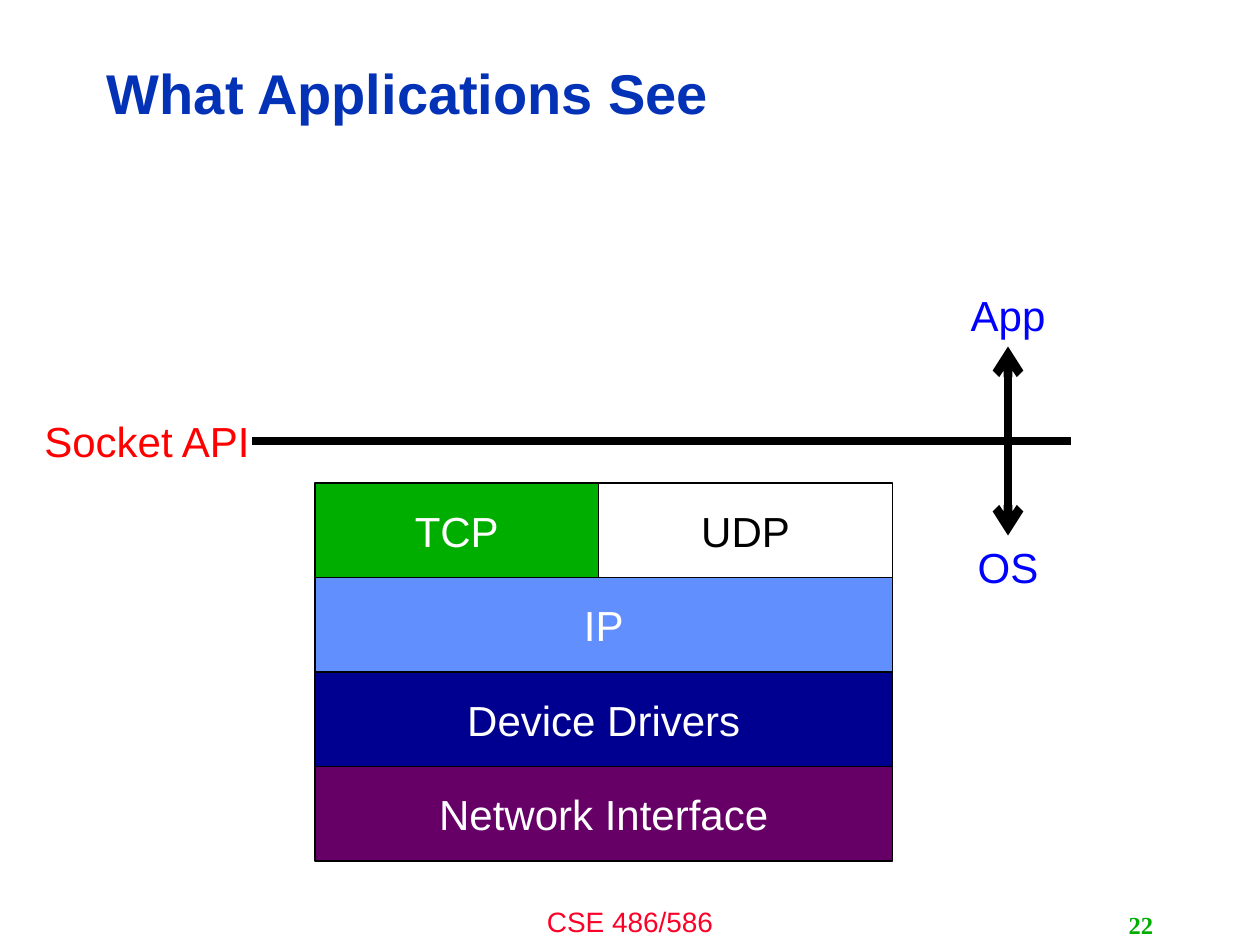
from lxml.etree import SubElement
from pptx import Presentation
from pptx.dml.color import RGBColor
from pptx.enum.shapes import MSO_CONNECTOR as Connector, MSO_SHAPE as Shape
from pptx.enum.text import MSO_ANCHOR as Anchor, PP_ALIGN as Align
from pptx.oxml.ns import qn
from pptx.util import Emu, Pt

EMU_PER_PX = 7620  # 120 px to the inch


def px(length):
    return Emu(length * EMU_PER_PX)


def color(value):
    return RGBColor.from_string(value)


def write(shape, text, size, ink, font="Arial", bold=False,
          align=Align.CENTER, anchor=Anchor.TOP, wrap=True):
    frame = shape.text_frame
    frame.word_wrap = wrap
    frame.vertical_anchor = anchor
    para = frame.paragraphs[0]
    para.text = text
    para.alignment = align
    para.font.name = font
    para.font.size = Pt(size)
    para.font.bold = bold
    para.font.color.rgb = color(ink)
    return para


def add_label(page, box, text, size, ink, **style):
    label = page.shapes.add_textbox(*map(px, box))
    return write(label, text, size, ink, **style)


def add_layer(page, box, text, fill, ink):
    layer = page.shapes.add_shape(Shape.RECTANGLE, *map(px, box))
    layer.shadow.inherit = False
    layer.fill.solid()
    layer.fill.fore_color.rgb = color(fill)
    layer.line.color.rgb = color("000000")
    layer.line.width = Pt(0.75)
    write(layer, text, 24, ink, anchor=Anchor.MIDDLE, wrap=False)


def add_line(page, start, end, arrow=False):
    line = page.shapes.add_connector(
        Connector.STRAIGHT, *map(px, (*start, *end)))
    line.line.color.rgb = color("000000")
    line.line.width = Pt(5)
    if arrow:
        SubElement(line.line._get_or_add_ln(), qn("a:tailEnd"), type="arrow")
    SubElement(line._element.spPr, qn("a:effectLst"))


def add_title(page, box):
    para = add_label(page, box, "What Applications See", 32, "0332B7",
                     bold=True, align=Align.LEFT, anchor=Anchor.MIDDLE)
    para.line_spacing = 0.9


def add_stack(page, box):
    left, top, width, height = box
    tcp_width = 270
    rows = [
        [("TCP", "00AE00", "FFFFFF", tcp_width),
         ("UDP", "FFFFFF", "000000", width - tcp_width)],
        [("IP", "618FFD", "FFFFFF", width)],
        [("Device Drivers", "000090", "FFFFFF", width)],
        [("Network Interface", "660066", "FFFFFF", width)],
    ]
    row_height = height // len(rows)
    for index, row in enumerate(rows):
        x = left
        for text, fill, ink, layer_width in row:
            add_layer(page, (x, top + index * row_height,
                             layer_width, row_height), text, fill, ink)
            x += layer_width


def add_boundary(page, box):
    left, top, width, height = box
    middle = top + height // 2
    label_height, reach = 60, 90
    axis = left + 930

    # Socket API line
    add_label(page, (left, middle - label_height // 2, 220, label_height),
              "Socket API", 24, "FF0000")
    add_line(page, (left + 210, middle), (left + width, middle))

    # Arrows to the two sides
    sides = [("App", -reach, top),
             ("OS", reach, top + height - label_height)]
    for text, offset, label_top in sides:
        add_line(page, (axis, middle), (axis, middle + offset), arrow=True)
        add_label(page, (axis - 80, label_top, 160, label_height),
                  text, 24, "0000FF")


def add_footer(page, box):
    left, top, width, height = box
    add_label(page, (left, top, 400, height), "CSE 486/586", 16, "FC0128")
    add_label(page, (left + width - 250, top + 6, 250, 38), "22", 14, "00AE00",
              font="Times New Roman", bold=True, align=Align.RIGHT,
              anchor=Anchor.MIDDLE)


def main():
    deck = Presentation()
    deck.slide_width, deck.slide_height = px(1200), px(900)
    page = deck.slides.add_slide(deck.slide_layouts[6])
    add_title(page, (90, 43, 958, 97))
    add_stack(page, (300, 460, 550, 360))
    add_boundary(page, (30, 270, 990, 300))
    add_footer(page, (400, 856, 710, 44))
    deck.save("out.pptx")


if __name__ == "__main__":
    main()
